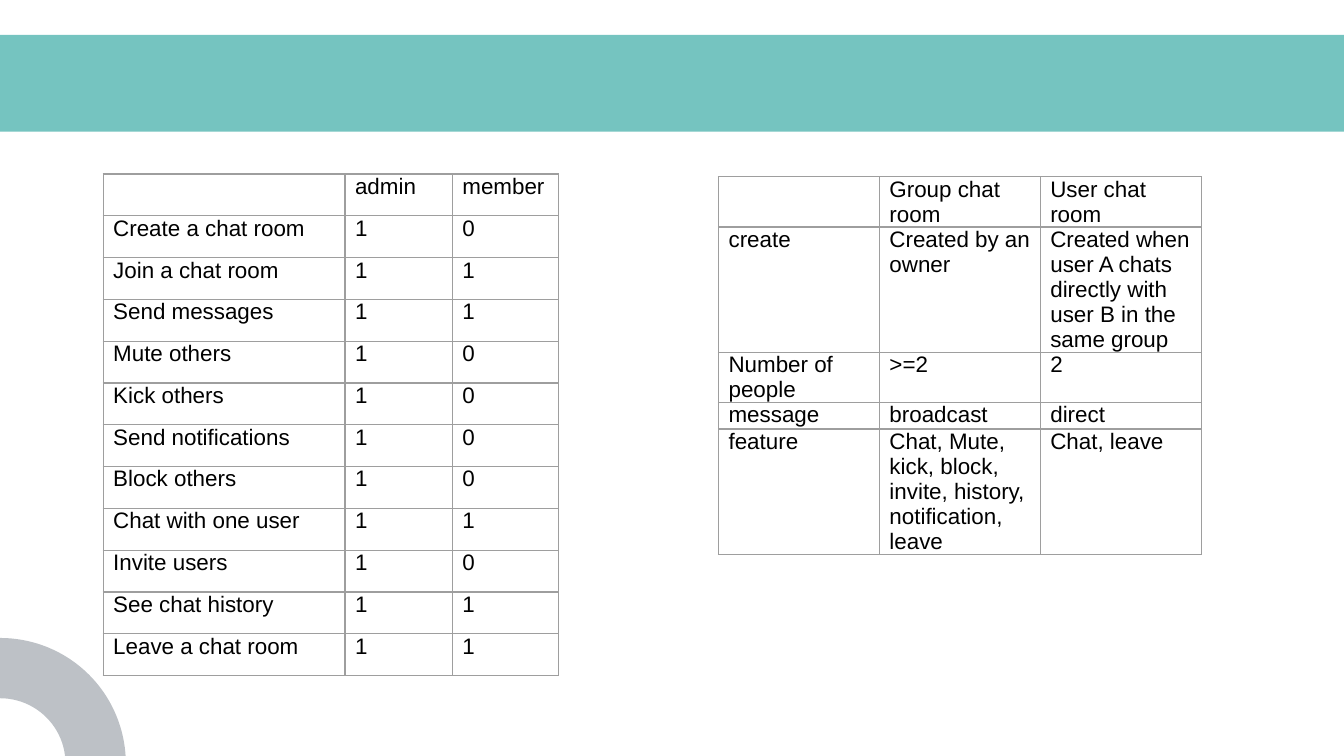
from dataclasses import dataclass

from lxml import etree
from pptx import Presentation
from pptx import util as u
from pptx.dml.color import RGBColor
from pptx.enum import shapes
from pptx.oxml import ns


@dataclass(frozen=True)
class Theme:
    """Colours, font and sizes of the page."""
    band: str = "75C4C0"
    ring: str = "BDC1C6"
    grid: str = "9E9E9E"
    ink: str = "000000"
    font: str = "Arial"
    size: float = 12
    grid_width: float = 0.75
    inset: float = 0.19


THEME = Theme()

PERMISSIONS = [
    ("", "admin", "member"),
    ("Create a chat room", "1", "0"),
    ("Join a chat room", "1", "1"),
    ("Send messages", "1", "1"),
    ("Mute others", "1", "0"),
    ("Kick others", "1", "0"),
    ("Send notifications", "1", "0"),
    ("Block others", "1", "0"),
    ("Chat with one user", "1", "1"),
    ("Invite users", "1", "0"),
    ("See chat history", "1", "1"),
    ("Leave a chat room", "1", "1"),
]

ROOM_TYPES = [
    ("", "Group chat room", "User chat room"),
    ("create", "Created by an owner",
     "Created when user A chats directly with user B in the same group"),
    ("Number of people", ">=2", "2"),
    ("message", "broadcast", "direct"),
    ("feature", "Chat, Mute, kick, block, invite, history, notification, leave",
     "Chat, leave"),
]


def add_figure(page, kind, left, top, width, height, color, adjustments=()):
    """Add a filled preset shape without outline, measured in centimetres."""
    figure = page.shapes.add_shape(
        kind, u.Cm(left), u.Cm(top), u.Cm(width), u.Cm(height))
    figure.shadow.inherit = False
    figure.fill.solid()
    figure.fill.fore_color.rgb = RGBColor.from_string(color)
    figure.line.fill.background()
    for index, value in enumerate(adjustments):
        figure.adjustments[index] = value
    return figure


def write_text(frame, content, size=THEME.size, color=THEME.ink, font=THEME.font):
    """Write one formatted span into the first paragraph of a text frame."""
    para = frame.paragraphs[0]
    para.font.size = u.Pt(size)
    if content:
        span = para.add_run()
        span.text = content
        span.font.size = u.Pt(size)
        span.font.name = font
        span.font.color.rgb = RGBColor.from_string(color)


def add_borders(cell):
    """Draw the grid line on all four sides of a cell."""
    properties = cell._tc.get_or_add_tcPr()
    for side in ("lnL", "lnR", "lnT", "lnB"):
        line = etree.SubElement(properties, ns.qn(f"a:{side}"),
                                w=str(u.Pt(THEME.grid_width)))
        fill = etree.SubElement(line, ns.qn("a:solidFill"))
        etree.SubElement(fill, ns.qn("a:srgbClr"), val=THEME.grid)


def format_cell(cell, content):
    """Give a cell its borders, margins and text."""
    add_borders(cell)
    cell.fill.background()
    cell.margin_left = cell.margin_right = u.Cm(THEME.inset)
    cell.margin_top = cell.margin_bottom = 0
    write_text(cell.text_frame, content)


def add_grid(page, rows, left, top, widths, heights, frame_height):
    """Add a plain bordered table, measured in centimetres."""
    frame = page.shapes.add_table(
        len(rows), len(widths), u.Cm(left), u.Cm(top),
        u.Cm(sum(widths)), u.Cm(frame_height))
    table = frame.table
    table.first_row = table.horz_banding = False
    for column, width in zip(table.columns, widths):
        column.width = u.Cm(width)
    for row, height, contents in zip(table.rows, heights, rows):
        row.height = u.Cm(height)
        for cell, content in zip(row.cells, contents):
            format_cell(cell, content)
    frame.height = u.Cm(frame_height)


def main():
    """Build and save the page with both chat room tables."""
    deck = Presentation()
    deck.slide_width, deck.slide_height = u.Cm(25.4), u.Cm(14.29)
    page = deck.slides.add_slide(deck.slide_layouts[6])
    add_figure(page, shapes.MSO_SHAPE.RECTANGLE,
               -0.43, 0.66, 26.26, 1.83, THEME.band)
    add_figure(page, shapes.MSO_SHAPE.BLOCK_ARC,
               -2.37, 12.06, 4.75, 4.75, THEME.ring, (161.65, 0.69, 0.24))
    add_grid(page, PERMISSIONS, 1.95, 3.29, (4.57, 2.03, 2.01),
             [0.79] * len(PERMISSIONS), 9.5)
    add_grid(page, ROOM_TYPES, 13.58, 3.34, [3.04] * 3,
             (0.5, 1.52, 0.5, 0.5, 1.52), 7.62)
    deck.save("out.pptx")


if __name__ == "__main__":
    main()
